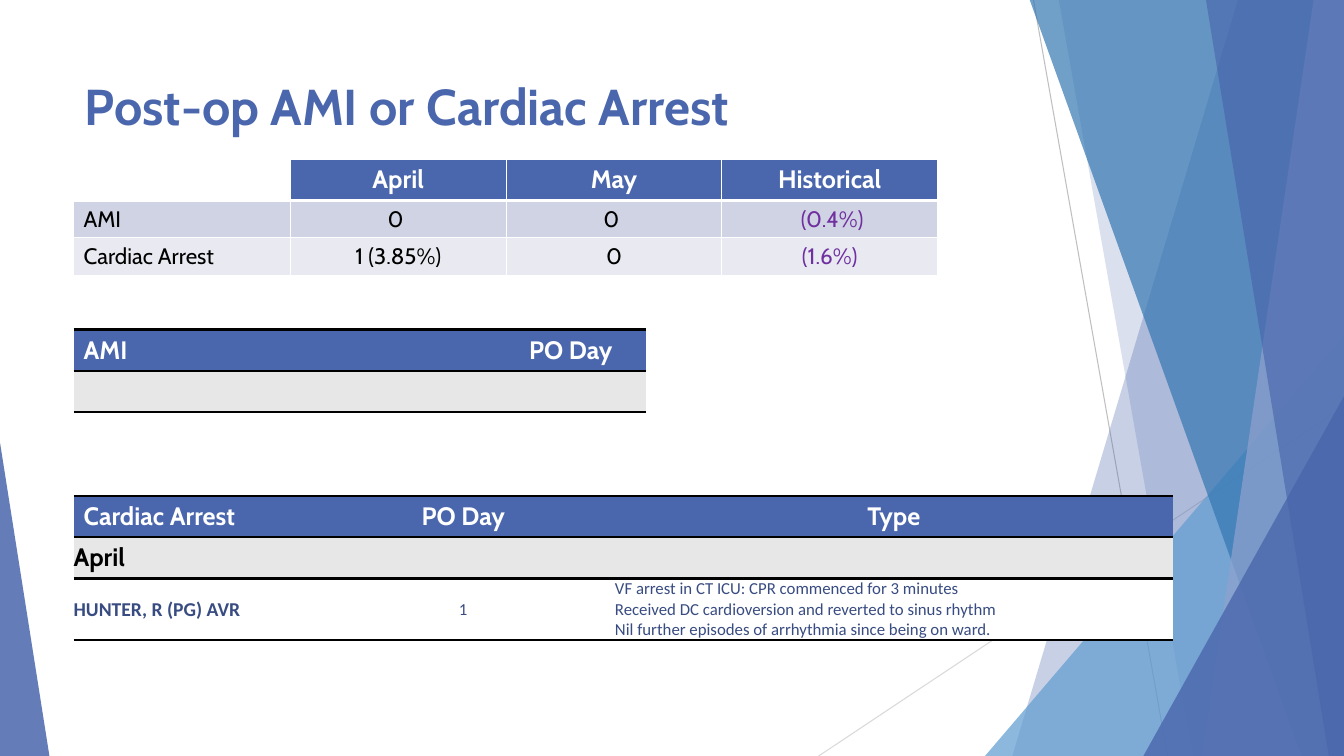
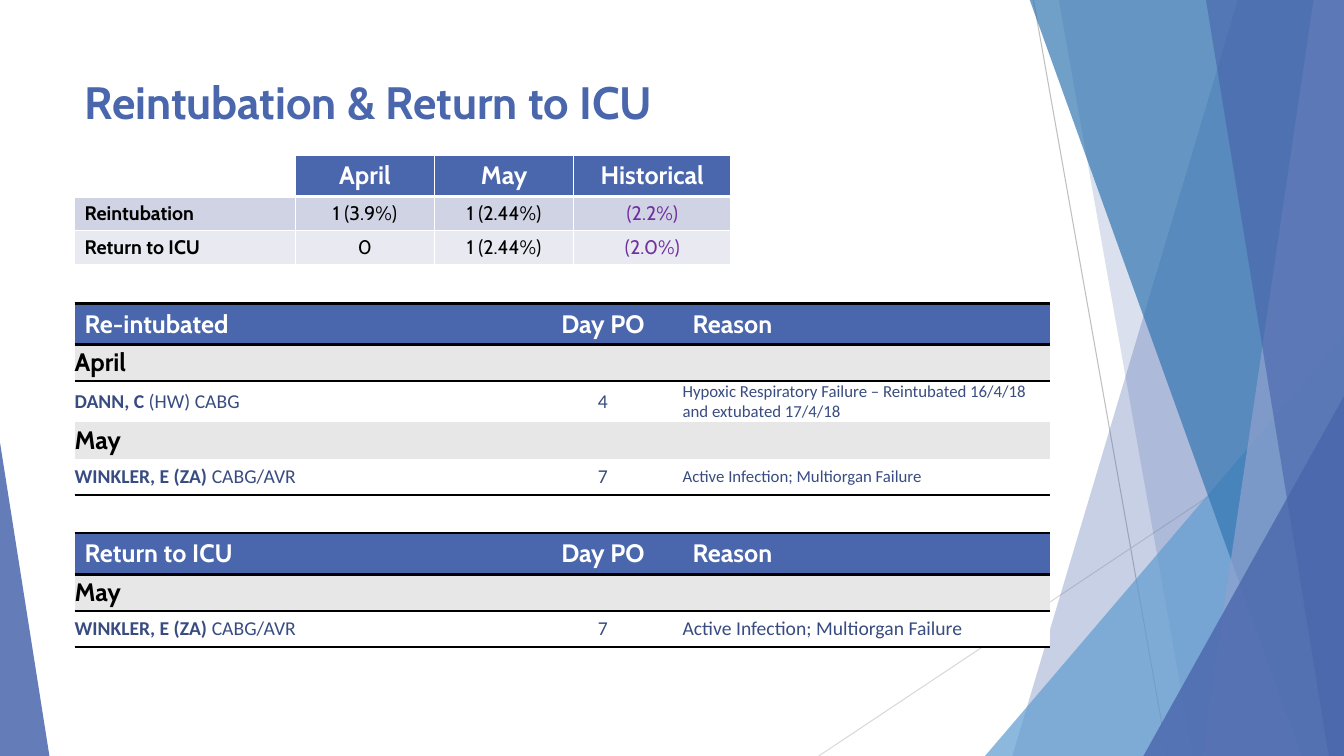
import pptx
import pptx.util
import pptx.dml.color
import pptx.enum.shapes
import pptx.enum.text
import pptx.oxml
import pptx.oxml.ns
import lxml.etree

Inches, Pt = pptx.util.Inches, pptx.util.Pt
qn = pptx.oxml.ns.qn
LEFT, CENTER = pptx.enum.text.PP_ALIGN.LEFT, pptx.enum.text.PP_ALIGN.CENTER
MIDDLE = pptx.enum.text.MSO_ANCHOR.MIDDLE

# Shared look
BLUE, NAVY, PURPLE = "4A66AC", "384C81", "7030A0"
WHITE, BLACK, GREY = "FFFFFF", "000000", "E7E7E7"
BANDS = ["D0D3E3", "E9EAF1"]
PLAIN_TABLE = "{2D5ABB26-0587-4C30-8999-92F81FD0307C}"
HEAD_H = 0.41

# Backdrop: lines (from, to, colour); facets in drawing order
BACK_LINES = [((10.25, 0), (11.58, 7.5), "BFBFBF"),
              ((13.33, 4.03), (8.12, 7.5), "D9D9D9")]
# ("band", top left x, bottom left x) or ("triangle", box, apex), colour, opacity %
FACETS = [
    ("band", 12.28, 10.04, BLUE, 30),
    ("band", 10.5, 11.83, BLUE, 20),
    ("triangle", (9.77, 3.33, 3.56, 4.17), 1, "629DD1", 72),
    ("band", 10.21, 12.91, "3477B2", 70),
    ("band", 13.03, 11.92, "90A2CF", 70),
    ("band", 11.96, 13.18, BLUE, 65),
    ("triangle", (11.34, 3.93, 1.99, 3.57), 1, BLUE, 80),
    ("triangle", (0, 4.39, 0.49, 3.11), 0, BLUE, 85),
]

# Content. Detail rows: a string is a month band, a dict is a patient
REASON_COLS = [("Day PO", 1.58, CENTER), ("Reason", 3.64, LEFT)]
WINKLER = dict(name="WINKLER, E (ZA) ", surgery="CABG/AVR", day="7",
               note="Active Infection; Multiorgan Failure")
SLIDES = [
    dict(
        title="Post-op AMI or Cardiac Arrest", title_size=36, title_h=0.75, left=0.73,
        summary=dict(
            top=1.58, cols=[2.15, 2.14, 2.14, 2.14], row_h=0.37, size=16, bold_labels=False,
            rows=[["AMI", "0 ", "0 ", " (0.4%)"],
                  ["Cardiac Arrest", "1 (3.85%)", "0", "(1.6%)"]]),
        details=[
            dict(top=3.27, band_h=0.41, cols=[("AMI", 4.18, LEFT), ("PO Day", 1.5, CENTER)],
                 rows=[""]),
            dict(top=4.92, band_h=0.41,
                 cols=[("Cardiac Arrest", 2.36, LEFT), ("PO Day", 3.01, CENTER),
                       ("Type", 5.53, CENTER)],
                 rows=["April",
                       dict(name="HUNTER, R (PG) AVR", surgery="", day="1", day_size=12,
                            note="VF arrest in CT ICU: CPR commenced for 3 minutes\n"
                                 "Received DC cardioversion and reverted to sinus rhythm\n"
                                 "Nil further episodes of arrhythmia since being on ward.",
                            note_size=12, height=0.6)]),
        ]),
    dict(
        title="Reintubation & Return to ICU", title_size=32.4, title_h=0.68, left=0.74,
        summary=dict(
            top=1.54, cols=[2.19, 1.38, 1.38, 1.56], row_h=0.33, size=14, bold_labels=True,
            rows=[["Reintubation", "1 (3.9%)", "1 (2.44%)", "(2.2%)"],
                  ["Return to ICU", "0", "1 (2.44%)", "(2.0%)"]]),
        details=[
            dict(top=3.01, band_h=0.36, cols=[("Re-intubated", 4.45, LEFT)] + REASON_COLS,
                 rows=["April",
                       dict(name="DANN, C ", surgery="(HW) CABG", day="4", note_size=12,
                            note="Hypoxic Respiratory Failure – Reintubated 16/4/18 "
                                 "and extubated 17/4/18", height=0.41),
                       "May", dict(WINKLER, note_size=12)]),
            dict(top=5.29, band_h=0.36, cols=[("Return to ICU", 4.45, LEFT)] + REASON_COLS,
                 rows=["May", WINKLER]),
        ]),
]
SUMMARY_HEAD = ["", "April", "May", "Historical"]


def rgb(value):
    return pptx.dml.color.RGBColor.from_string(value)


def write(tf, text, size=18, color=WHITE, bold=False, font="Cabin", align=LEFT):
    """Add text to the last paragraph; each line break starts a new one."""
    for i, line in enumerate(text.split("\n")):
        p = tf.add_paragraph() if i else tf.paragraphs[-1]
        p.alignment = align
        if line:
            r = p.add_run()
            r.text = line
            r.font.size, r.font.bold, r.font.name = Pt(size), bold, font
            r.font.color.rgb = rgb(color)


def draw_backdrop(s):
    """Draw the facets once, then move them to the layout behind its text."""
    shapes = []
    for start, end, color in BACK_LINES:
        line = s.shapes.add_connector(pptx.enum.shapes.MSO_CONNECTOR.STRAIGHT,
                                      *(Inches(v) for v in start + end))
        line.line.color.rgb, line.line.width = rgb(color), Pt(0.75)
        lxml.etree.SubElement(line.element.spPr, qn("a:effectLst"))
        shapes.append(line)
    for kind, a, b, color, opacity in FACETS:
        if kind == "band":
            corners = [(a, -0.01), (13.33, -0.01), (13.33, 7.5), (b, 7.5)]
            points = [(Inches(x), Inches(y)) for x, y in corners]
            outline = s.shapes.build_freeform(*points[0])
            outline.add_line_segments(points[1:], close=True)
            facet = outline.convert_to_shape()
        else:
            facet = s.shapes.add_shape(pptx.enum.shapes.MSO_SHAPE.ISOSCELES_TRIANGLE,
                                       *(Inches(v) for v in a))
            facet.adjustments[0] = b
        facet.shadow.inherit = False
        facet.line.fill.background()
        facet.fill.solid()
        facet.fill.fore_color.rgb = rgb(color)
        clr = next(facet.element.spPr.iter(qn("a:srgbClr")))
        lxml.etree.SubElement(clr, qn("a:alpha")).set("val", str(opacity * 1000))
        shapes.append(facet)
    tree = s.slide_layout.shapes.element
    for i, shape in enumerate(shapes):
        tree.insert(2 + i, shape.element)


def new_table(s, left, top, widths, heights):
    frame = s.shapes.add_table(len(heights), len(widths), Inches(left), Inches(top),
                               Inches(sum(widths)), Inches(sum(heights)))
    next(frame.element.iter(qn("a:tableStyleId"))).text = PLAIN_TABLE
    table = frame.table
    table.horz_banding = False
    for col, w in zip(table.columns, widths):
        col.width = Inches(w)
    for row, h in zip(table.rows, heights):
        row.height = Inches(h)
    return table


def style_cell(cell, fill=None, borders=None, margin=None):
    """Borders map a side (L, R, T, B) to (colour, points)."""
    cell.vertical_anchor = MIDDLE
    if margin is not None:
        cell.margin_left = cell.margin_right = Inches(margin)
        cell.margin_top = cell.margin_bottom = Inches(margin)
    tc_pr = cell._tc.get_or_add_tcPr()
    for side in "LRTB":
        if side in (borders or {}):
            color, width = borders[side]
            ln = lxml.etree.SubElement(tc_pr, qn("a:ln" + side), w=str(Pt(width)))
            solid = lxml.etree.SubElement(ln, qn("a:solidFill"))
            lxml.etree.SubElement(solid, qn("a:srgbClr"), val=color)
    if fill:
        cell.fill.solid()
        cell.fill.fore_color.rgb = rgb(fill)


def add_summary(s, left, top, cols, row_h, size, bold_labels, rows):
    table = new_table(s, left, top, cols, [HEAD_H] + [row_h] * len(rows))
    grid = dict.fromkeys("LRTB", (WHITE, 1))
    for c, text in enumerate(SUMMARY_HEAD):
        cell = table.cell(0, c)
        style_cell(cell, BLUE if text else None, dict(grid, B=(WHITE, 3)))
        write(cell.text_frame, text, bold=True, align=CENTER)
    for i, row in enumerate(rows):
        for c, text in enumerate(row):
            cell = table.cell(i + 1, c)
            style_cell(cell, BANDS[i % 2], dict(grid, T=(WHITE, 1 if i else 3)))
            write(cell.text_frame, text, size, PURPLE if c == 3 else BLACK,
                  bold=bold_labels and c == 0, align=CENTER if c else LEFT)


def add_detail(s, left, top, band_h, cols, rows):
    heights = [row.get("height", band_h) if isinstance(row, dict) else band_h for row in rows]
    table = new_table(s, left, top, [w for _, w, _ in cols], [HEAD_H] + heights)
    rule = (BLACK, 2)
    for c, (text, _, align) in enumerate(cols):
        cell = table.cell(0, c)
        style_cell(cell, BLUE, dict(T=rule, B=rule))
        write(cell.text_frame, text, bold=True, align=align)
    for i, row in enumerate(rows, 1):
        cells = [table.cell(i, c) for c in range(len(cols))]
        patient = isinstance(row, dict)
        borders = dict(T=rule) if i == 1 else {}
        if i == len(rows):
            borders["B"] = rule
        for cell in cells:
            style_cell(cell, WHITE if patient else GREY, borders, margin=0)
        if patient:
            name, day, note = (cell.text_frame for cell in cells)
            body = dict(color=NAVY, font="Calibri")
            write(name, row["name"], 14, bold=True, **body)
            write(name, row["surgery"], 14, **body)
            write(day, row["day"], row.get("day_size", 14), align=CENTER, **body)
            write(note, row["note"], row.get("note_size", 14), **body)
        elif row:
            cells[0].merge(cells[-1])
            write(cells[0].text_frame, row, color=BLACK, bold=True)


def add_title(s, text, size, height):
    title = s.shapes.title
    title.left, title.top = Inches(0.74), Inches(0.67)
    title.width, title.height = Inches(9.4), Inches(height)
    tf = title.text_frame
    tf.word_wrap, tf.vertical_anchor = True, MIDDLE
    tf.auto_size = pptx.enum.text.MSO_AUTO_SIZE.NONE
    write(tf, text, size, BLUE, bold=True)


def main():
    prs = pptx.Presentation()
    prs.slide_width, prs.slide_height = Inches(13.33), Inches(7.5)
    layout = prs.slide_layouts.get_by_name("Title Only")
    for i, content in enumerate(SLIDES):
        s = prs.slides.add_slide(layout)
        if i == 0:
            draw_backdrop(s)
        add_title(s, content["title"], content["title_size"], content["title_h"])
        add_summary(s, content["left"], **content["summary"])
        for detail in content["details"]:
            add_detail(s, content["left"], **detail)
    prs.save("out.pptx")


if __name__ == "__main__":
    main()
